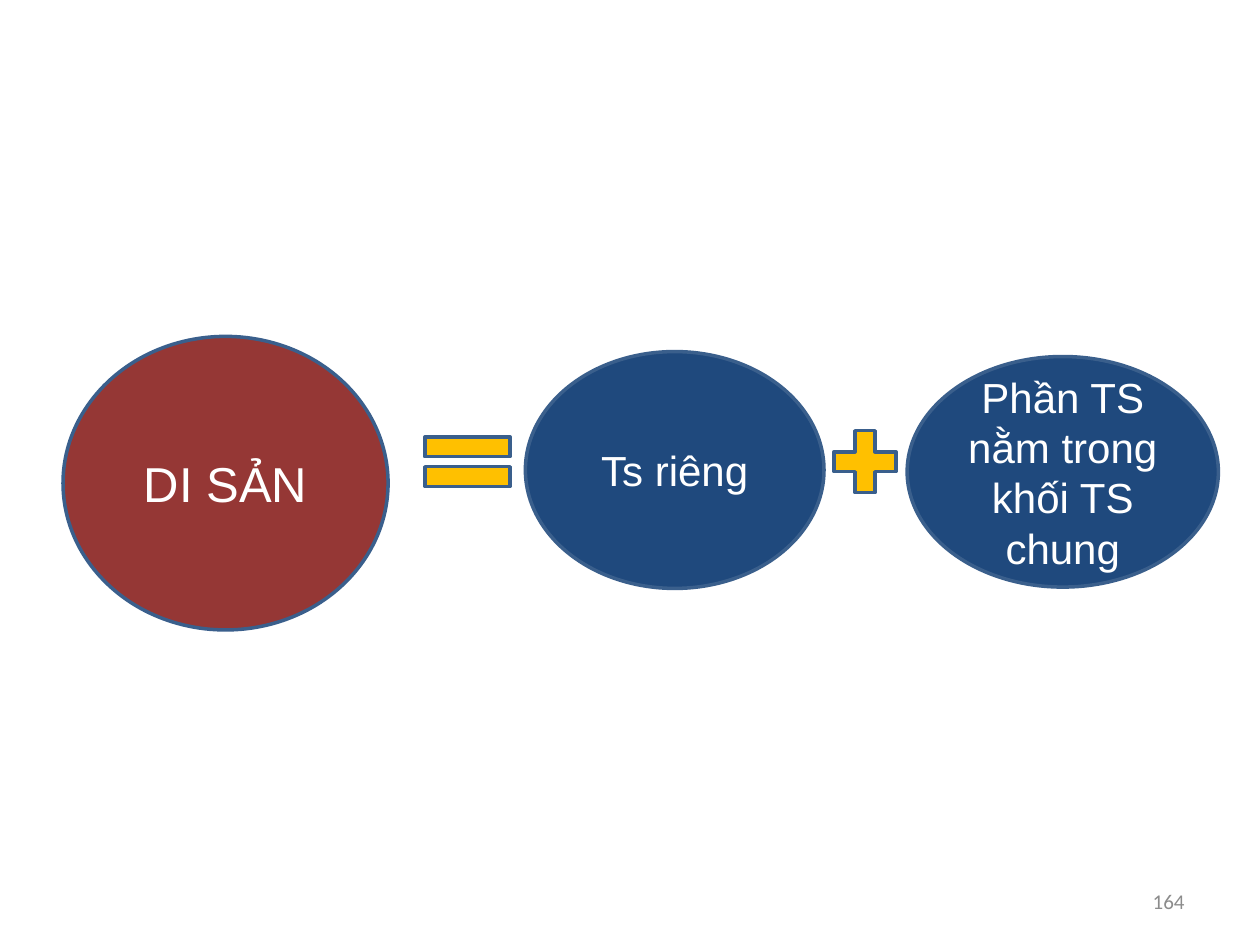
import pptx
import pptx.util
import pptx.dml.color
import pptx.enum.shapes
import pptx.enum.text

Inches = pptx.util.Inches
Kind = pptx.enum.shapes.MSO_SHAPE
Align = pptx.enum.text.PP_ALIGN


def color(code):
    """Turn a hex string into a colour."""
    return pptx.dml.color.RGBColor.from_string(code)


class Deck:
    """Hold the style and the current slide."""

    font = "Arial"
    edge = "3A5F8C"
    red = "953735"
    navy = "1F497D"
    gold = "FFC000"
    white = "FFFFFF"
    gray = "8C8C8C"

    def __init__(self):
        """Start a deck with one blank slide."""
        self.show = pptx.Presentation()
        self.show.slide_width = Inches(10)
        self.show.slide_height = Inches(7.5)
        self.slide = self.show.slides.add_slide(self.show.slide_layouts[6])

    def label(self, shape, text, size, tint, font, align):
        """Put one middle-anchored paragraph in a shape."""
        frame = shape.text_frame
        frame.word_wrap = True
        frame.vertical_anchor = pptx.enum.text.MSO_ANCHOR.MIDDLE
        para = frame.paragraphs[0]
        para.text = text
        para.alignment = align
        para.font.size = pptx.util.Pt(size)
        para.font.name = font
        para.font.color.rgb = color(tint)

    def sign(self, kind, box, fill):
        """Draw a filled and outlined preset shape."""
        shape = self.slide.shapes.add_shape(kind, *map(Inches, box))
        shape.shadow.inherit = False
        shape.fill.solid()
        shape.fill.fore_color.rgb = color(fill)
        shape.line.color.rgb = color(self.edge)
        shape.line.width = pptx.util.Pt(2)
        return shape

    def oval(self, box, fill, text, size=24):
        """Draw a labelled oval."""
        shape = self.sign(Kind.FLOWCHART_CONNECTOR, box, fill)
        self.label(shape, text, size, self.white, self.font, Align.CENTER)

    def number(self, box, text):
        """Add the slide number."""
        shape = self.slide.shapes.add_textbox(*map(Inches, box))
        self.label(shape, text, 12, self.gray, "Calibri", Align.RIGHT)


def main():
    """Build and save the slide."""
    deck = Deck()
    deck.oval((0.5, 2.67, 2.58, 2.33), deck.red, "DI SẢN", 28)
    deck.sign(Kind.MATH_EQUAL, (3.25, 3.33, 0.92, 0.67), deck.gold)
    deck.oval((4.17, 2.79, 2.37, 1.88), deck.navy, "Ts riêng")
    deck.sign(Kind.MATH_PLUS, (6.53, 3.33, 0.67, 0.67), deck.gold)
    deck.oval((7.2, 2.83, 2.47, 1.83), deck.navy, "Phần TS nằm trong khối TS chung")
    deck.number((7.17, 6.95, 2.33, 0.4), "164")
    deck.show.save("out.pptx")


if __name__ == "__main__":
    main()
